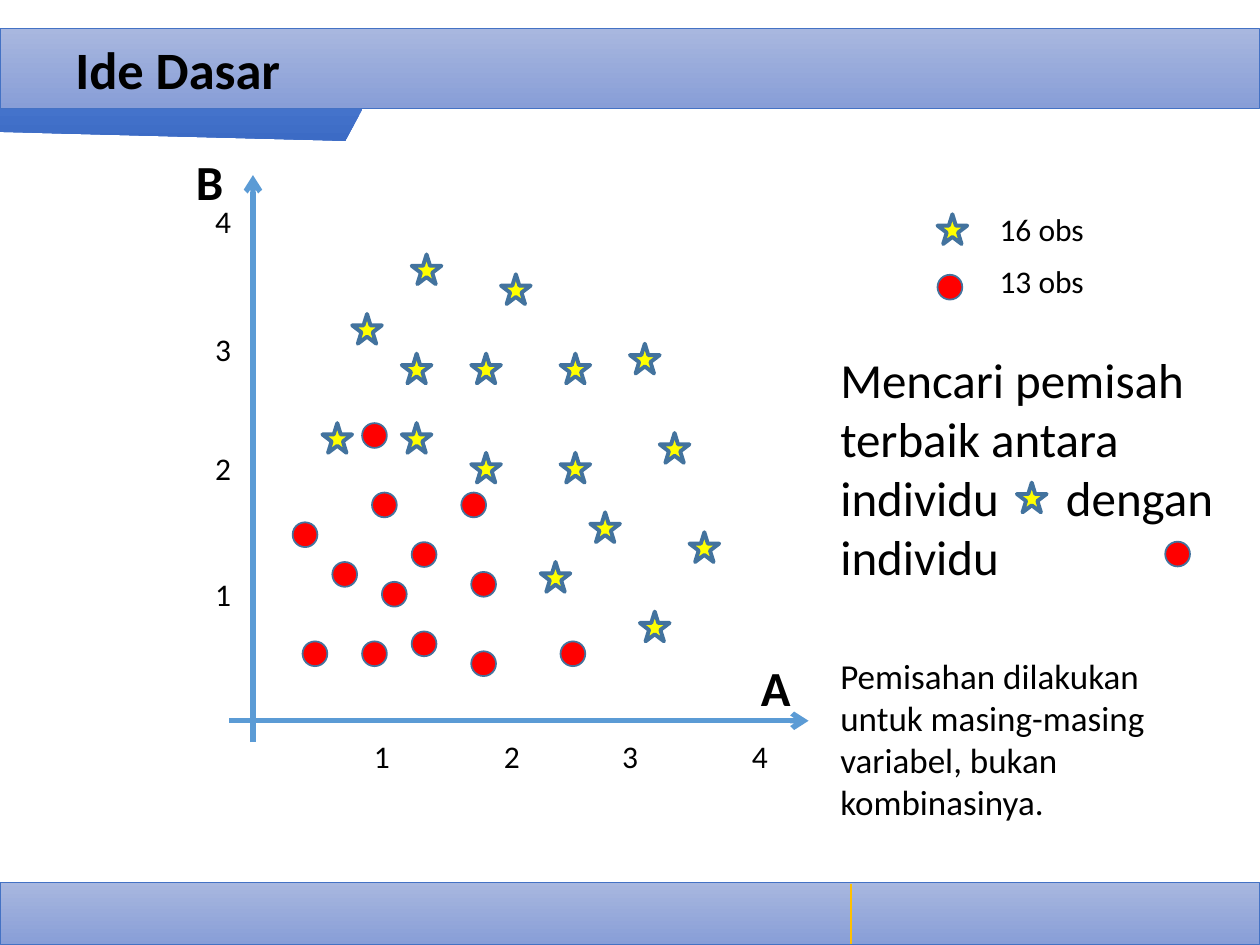
from collections import namedtuple
from dataclasses import dataclass

from lxml.etree import SubElement
from pptx import Presentation
from pptx.dml.color import RGBColor
from pptx.enum.shapes import MSO_CONNECTOR, MSO_SHAPE
from pptx.enum.text import MSO_ANCHOR, PP_ALIGN
from pptx.oxml.ns import qn
from pptx.util import Cm, Pt

Box = namedtuple("Box", "left top width height")
Marker = namedtuple("Marker", "shape size fill weight")


@dataclass(frozen=True)
class Theme:
    font: str = "Calibri"
    text: str = "000000"
    axis: str = "5B9BD5"
    outline: str = "43739E"
    divider: str = "FFC000"
    bar_line: str = "4472C4"
    bar: tuple = ("A8B7DF", "889ED7")
    stripe: tuple = ("4473CB", "3C6BC5")
    title: int = 30
    large: int = 28
    note: int = 20
    label: int = 18


THEME = Theme()
STAR = Marker(MSO_SHAPE.STAR_5_POINT, 0.6, "FFFF00", 2.25)
DISC = Marker(MSO_SHAPE.FLOWCHART_CONNECTOR, 0.5, "FF0000", 1)

STAR_POINTS = [
    (4.6, 2.2), (3.4, 3.4), (5.8, 4.2), (6.4, 2.6), (9, 4), (5.8, 6.2),
    (7.6, 4.2), (8.2, 7.4), (7.6, 6.2), (9.6, 5.8), (7.2, 8.4), (10.2, 7.8),
    (4.4, 5.6), (2.8, 5.6), (4.4, 4.2), (9.2, 9.4),
]
DISC_POINTS = [
    (3.8, 7), (5.6, 7), (4.6, 8), (3, 8.4), (4.6, 9.8), (5.8, 8.6), (4, 8.8),
    (7.6, 10), (5.8, 10.2), (3.6, 5.6), (2.2, 7.6), (3.6, 10), (2.4, 10),
]
X_TICKS = (3.59, 6.21, 8.59, 11.21)
Y_TICKS = (8.53, 5.99, 3.6, 1.01)


def colour(code):
    return RGBColor.from_string(code)


def inside(box, left, top, width, height):
    return Box(box.left + left, box.top + top, width, height)


def apply(target, values):
    for name, value in values.items():
        setattr(target, name, value)


def add_text(page, box, words, size, bold=False, **frame_values):
    frame = page.shapes.add_textbox(*map(Cm, box)).text_frame
    apply(frame, {"word_wrap": True, **frame_values})
    para = frame.paragraphs[0]
    span = para.add_run()
    span.text = words
    apply(span.font, {"name": THEME.font, "size": Pt(size), "bold": bold})
    span.font.color.rgb = colour(THEME.text)
    return para


def add_marker(page, box, left, top, marker):
    place = inside(box, left, top, marker.size, marker.size)
    shape = page.shapes.add_shape(marker.shape, *map(Cm, place))
    shape.shadow.inherit = False
    shape.fill.solid()
    shape.fill.fore_color.rgb = colour(marker.fill)
    shape.line.color.rgb = colour(THEME.outline)
    shape.line.width = Pt(marker.weight)


def add_line(page, box, start, end, line_colour, weight, arrow=False):
    ends = [Cm(offset + value) for point in (start, end)
            for offset, value in zip((box.left, box.top), point)]
    connector = page.shapes.add_connector(MSO_CONNECTOR.STRAIGHT, *ends)
    connector.line.color.rgb = colour(line_colour)
    connector.line.width = Pt(weight)
    if arrow:
        SubElement(connector.line._get_or_add_ln(), qn("a:tailEnd"), type="arrow")
    SubElement(connector._element.spPr, qn("a:effectLst"))


def fill_gradient(shape, shades):
    shape.shadow.inherit = False
    shape.fill.gradient()
    shape.fill.gradient_angle = 270
    for stop, shade in zip(shape.fill.gradient_stops, shades):
        stop.color.rgb = colour(shade)


def add_bar(page, box):
    bar = page.shapes.add_shape(MSO_SHAPE.RECTANGLE, *map(Cm, box))
    fill_gradient(bar, THEME.bar)
    bar.line.color.rgb = colour(THEME.bar_line)
    bar.line.width = Pt(0.5)


def add_header(page, box, title):
    bottom = box.top + box.height
    corners = [(Cm(box.left + x), Cm(bottom + y))
               for x, y in ((0, 0), (7.32, 0), (6.96, 0.66), (0, 0.48))]
    builder = page.shapes.build_freeform(*corners[0])
    builder.add_line_segments(corners[1:])
    stripe = builder.convert_to_shape()
    fill_gradient(stripe, THEME.stripe)
    stripe.line.fill.background()
    add_bar(page, box)
    para = add_text(page, inside(box, 1.27, 0, 22.86, box.height), title,
                    THEME.title, True, vertical_anchor=MSO_ANCHOR.MIDDLE)
    para.alignment = PP_ALIGN.JUSTIFY


def add_footer(page, box):
    add_bar(page, box)
    add_line(page, box, (17.15, 0.05), (17.15, 1.24), THEME.divider, 1)


def add_legend(page, box):
    rows = ((STAR, 0.21, 0, "16 obs"), (DISC, 1.43, 1.05, "13 obs"))
    for marker, marker_top, text_top, words in rows:
        add_marker(page, box, 0, marker_top, marker)
        add_text(page, inside(box, 1, text_top, 2.8, 1.02), words, THEME.label)


def add_explanation(page, box):
    para = add_text(page, inside(box, 0, 0, box.width, 5.05),
                    "Mencari pemisah terbaik antara individu\tdengan individu",
                    THEME.large, margin_right=0)
    stops = SubElement(para._p.get_or_add_pPr(), qn("a:tabLst"))
    SubElement(stops, qn("a:tab"), pos=str(Cm(4.55)), algn="l")
    add_marker(page, box, 3.81, 2.8, STAR)
    add_marker(page, box, 6.8, 3.99, DISC)
    add_text(page, inside(box, 0, 6.13, box.width, 3.68),
             "Pemisahan dilakukan untuk masing-masing variabel, bukan kombinasinya.",
             THEME.note)


def add_plot(page, box):
    for start, end in (((1.4, 12.03), (1.4, 0.6)), ((0.92, 11.6), (12.6, 11.6))):
        add_line(page, box, start, end, THEME.axis, 3, arrow=True)
    for number, (left, top) in enumerate(zip(X_TICKS, Y_TICKS), 1):
        for place in ((0.39, top), (left, 11.8)):
            add_text(page, inside(box, *place, 0.62, 1.02), str(number),
                     THEME.label, word_wrap=False)
    for marker, points in ((STAR, STAR_POINTS), (DISC, DISC_POINTS)):
        for left, top in points:
            add_marker(page, box, left, top, marker)
    for name, left, top in (("B", 0, 0), ("A", 11.39, 10.2)):
        add_text(page, inside(box, left, top, 1.2, 1.45), name, THEME.large, True)


def main():
    deck = Presentation()
    apply(deck, {"slide_width": Cm(25.4), "slide_height": Cm(19.05)})
    page = deck.slides.add_slide(deck.slide_layouts[6])
    add_footer(page, Box(0, 17.78, 25.4, 1.27))
    add_header(page, Box(0, 0.58, 25.4, 1.6), "Ide Dasar")
    add_legend(page, Box(18.9, 4.11, 3.8, 2.07))
    add_explanation(page, Box(16.69, 6.93, 8, 9.81))
    add_plot(page, Box(3.7, 2.93, 12.6, 12.82))
    deck.save("out.pptx")


if __name__ == "__main__":
    main()
